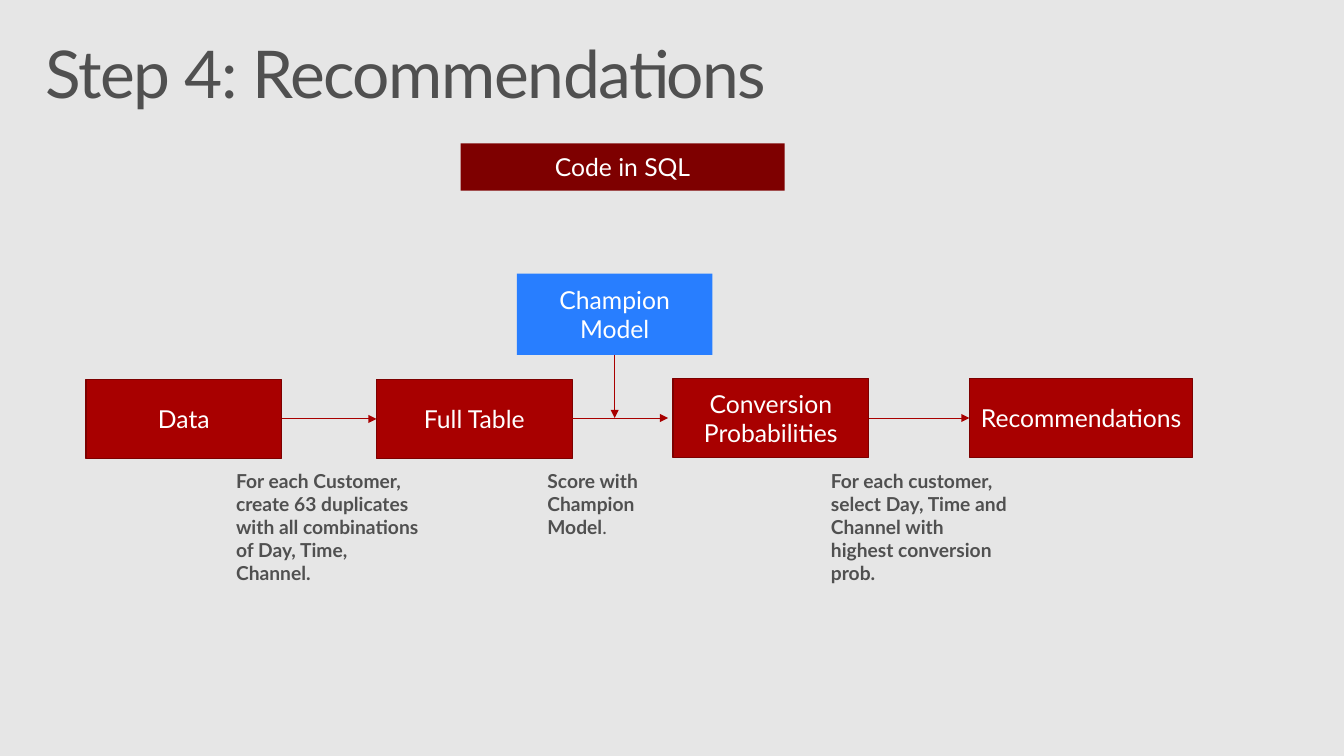
from lxml.etree import SubElement
from pptx import Presentation
from pptx.dml.color import RGBColor
from pptx.enum.shapes import MSO_CONNECTOR as Link, MSO_SHAPE as Shape
from pptx.enum.text import MSO_ANCHOR as Anchor, MSO_AUTO_SIZE as Fit, PP_ALIGN as Align
from pptx.oxml.ns import qn
from pptx.util import Inches, Pt

FONT = "Lato"
HUES = {
    "back": "E6E6E6",
    "text": "505050",
    "white": "FFFFFF",
    "dark": "7E0000",
    "red": "A80000",
    "edge": "7C0000",
    "blue": "287EFF",
}


def hue(name):
    return RGBColor.from_string(HUES[name])


def place(*sizes):
    return [Inches(size) for size in sizes]


def add_run(par, text, size, color, bold=False):
    run = par.add_run()
    run.text = text
    run.font.name = FONT
    run.font.size = Pt(size)
    run.font.bold = bold
    run.font.color.rgb = hue(color)
    return run


def add_title(slide, text):
    frame = slide.shapes.add_textbox(*place(0.3, 0.32, 13, 1)).text_frame
    frame.word_wrap = True
    frame.margin_left = frame.margin_right = Inches(0.16)
    frame.margin_top = frame.margin_bottom = Inches(0.1)
    par = frame.paragraphs[0]
    par.line_spacing = 0.9
    run = add_run(par, text, 48, "text")
    run.font._element.set("spc", "-100")


def add_box(slide, text, spot, fill, edge=None):
    box = slide.shapes.add_shape(Shape.RECTANGLE, *place(*spot))
    box.shadow.inherit = False
    box.fill.solid()
    box.fill.fore_color.rgb = hue(fill)
    if edge:
        box.line.color.rgb = hue(edge)
        box.line.width = Pt(0.85)
    else:
        box.line.fill.background()
    frame = box.text_frame
    frame.word_wrap = True
    frame.vertical_anchor = Anchor.MIDDLE
    par = frame.paragraphs[0]
    par.alignment = Align.CENTER
    add_run(par, text, 18, "white")


def add_arrow(slide, *ends):
    arrow = slide.shapes.add_connector(Link.STRAIGHT, *place(*ends))
    arrow.line.color.rgb = hue("red")
    arrow.line.width = Pt(0.75)
    SubElement(arrow.line._get_or_add_ln(), qn("a:tailEnd"), type="triangle")
    SubElement(arrow._element.spPr, qn("a:effectLst"))


def add_note(slide, left, width, height, *parts):
    frame = slide.shapes.add_textbox(*place(left, 4.7, width, height)).text_frame
    frame.word_wrap = True
    frame.auto_size = Fit.SHAPE_TO_FIT_TEXT
    for text, bold in parts:
        add_run(frame.paragraphs[0], text, 14, "text", bold)


def main():
    deck = Presentation()
    deck.slide_width, deck.slide_height = place(13.6, 7.65)
    slide = deck.slides.add_slide(deck.slide_layouts[6])
    slide.background.fill.solid()
    slide.background.fill.fore_color.rgb = hue("back")

    # Heading and tool banner
    add_title(slide, "Step 4: Recommendations")
    add_box(slide, "Code in SQL", (4.66, 1.45, 3.28, 0.48), "dark")

    # Process steps
    steps = [
        ("Data", 0.87, 3.84, 1.98),
        ("Full Table", 3.81, 3.84, 1.98),
        ("Conversion Probabilities", 6.81, 3.83, 1.98),
        ("Recommendations", 9.81, 3.83, 2.26),
    ]
    for text, left, top, width in steps:
        add_box(slide, text, (left, top, width, 0.8), "red", "edge")

    # Model feeding the scoring step
    add_box(slide, "Champion Model", (5.23, 2.77, 1.98, 0.82), "blue")
    add_arrow(slide, 6.22, 3.59, 6.22, 4.23)

    # Flow between steps
    for start, end, y in [(2.85, 3.81, 4.24), (5.79, 6.76, 4.23), (8.79, 9.81, 4.23)]:
        add_arrow(slide, start, y, end, y)

    # Notes under the arrows
    add_note(slide, 2.29, 2.08, 1.04,
             ("For each Customer, create 63 duplicates with all combinations "
              "of Day, Time, Channel.", True))
    add_note(slide, 5.44, 1.71, 0.57,
             ("Score with Champion Model", True), (".", False))
    add_note(slide, 8.31, 1.98, 1.04,
             ("For each customer, select Day, Time and Channel with "
              "highest conversion prob.", True))

    deck.save("out.pptx")


if __name__ == "__main__":
    main()
